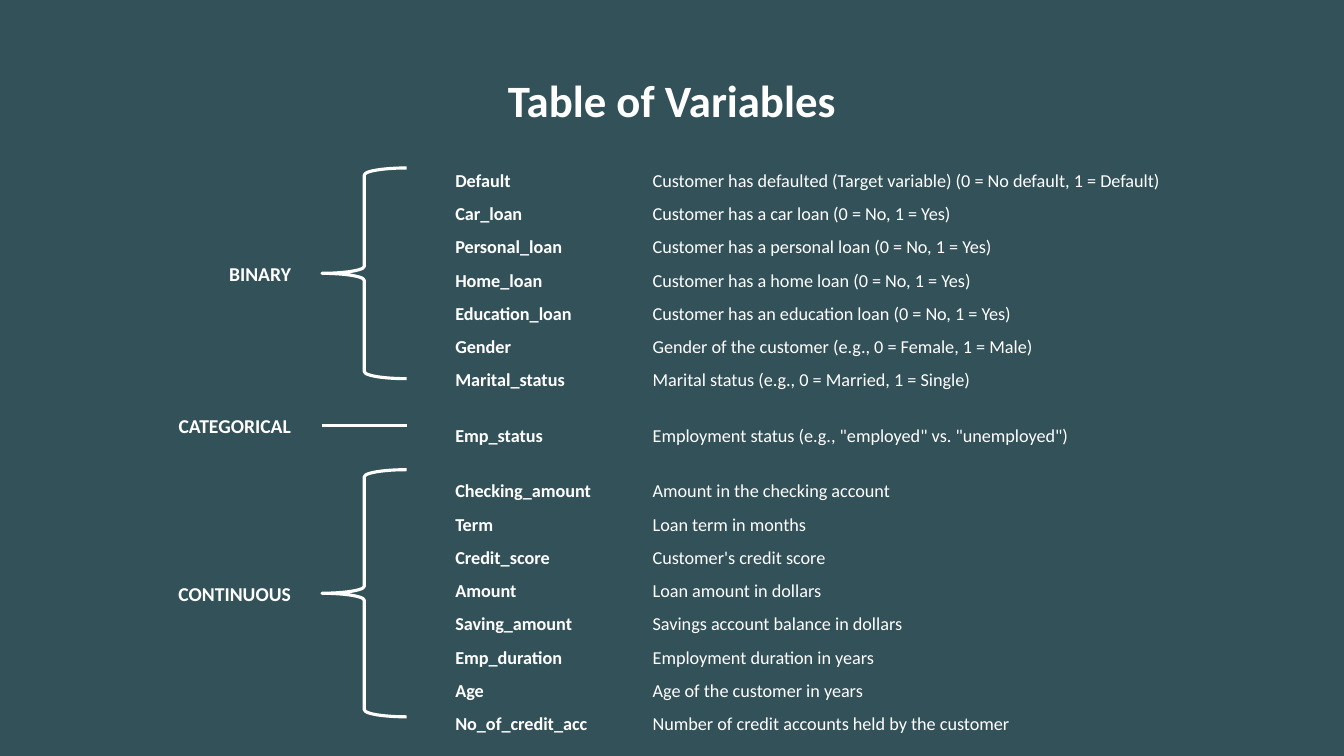
from pptx import Presentation
from pptx import util as u
from pptx.dml.color import RGBColor
from pptx.enum import shapes, text
from pptx.oxml.ns import qn
from lxml import etree

Pt = u.Pt
COLORS = {"background": "335159", "ink": "FFFFFF"}
FONT = "Calibri"
PLAIN_TABLE = "{2D5ABB26-0587-4C30-8999-92F81FD0307C}"
GROUP_GAP = 15.87

GROUPS = [
    ("BINARY", 120, 150.5, [
        ("Default", "Customer has defaulted (Target variable) (0 = No default, 1 = Default)"),
        ("Car_loan", "Customer has a car loan (0 = No, 1 = Yes)"),
        ("Personal_loan", "Customer has a personal loan (0 = No, 1 = Yes)"),
        ("Home_loan", "Customer has a home loan (0 = No, 1 = Yes)"),
        ("Education_loan", "Customer has an education loan (0 = No, 1 = Yes)"),
        ("Gender", "Gender of the customer (e.g., 0 = Female, 1 = Male)"),
        ("Marital_status", "Marital status (e.g., 0 = Married, 1 = Single)"),
    ]),
    ("CATEGORICAL", 304, 0, [
        ("Emp_status", 'Employment status (e.g., "employed" vs. "unemployed")'),
    ]),
    ("CONTINUOUS", 335.5, 176.5, [
        ("Checking_amount", "Amount in the checking account"),
        ("Term", "Loan term in months"),
        ("Credit_score", "Customer's credit score"),
        ("Amount", "Loan amount in dollars"),
        ("Saving_amount", "Savings account balance in dollars"),
        ("Emp_duration", "Employment duration in years"),
        ("Age", "Age of the customer in years"),
        ("No_of_credit_acc", "Number of credit accounts held by the customer"),
    ]),
]


def color(name):
    return RGBColor.from_string(COLORS[name])


def set_font(p, size, bold):
    p.font.name = FONT
    p.font.size = Pt(size)
    p.font.bold = bold
    p.font.color.rgb = color("ink")


def add_label(s, x, y, w, h, words, size, align):
    tf = s.shapes.add_textbox(Pt(x), Pt(y), Pt(w), Pt(h)).text_frame
    tf.word_wrap = True
    tf.vertical_anchor = text.MSO_ANCHOR.MIDDLE
    p = tf.paragraphs[0]
    p.text = words
    p.alignment = align
    set_font(p, size, True)


def add_group_mark(s, x, y, h, name):
    label_w, label_h, mark_x, mark_w = 142, 24.5, 157, 60.5
    add_label(s, x, y + h / 2 - label_h / 2, label_w, label_h, name, 14,
              text.PP_ALIGN.RIGHT)
    left, right = x + mark_x, x + mark_x + mark_w
    if h:
        sp = s.shapes.add_shape(shapes.MSO_SHAPE.LEFT_BRACE,
                                Pt(left), Pt(y), Pt(mark_w), Pt(h))
        sp.shadow.inherit = False
        sp.fill.background()
    else:
        sp = s.shapes.add_connector(shapes.MSO_CONNECTOR.STRAIGHT,
                                    Pt(left), Pt(y), Pt(right), Pt(y))
        etree.SubElement(sp._element.spPr, qn("a:effectLst"))
    sp.line.color.rgb = color("ink")
    sp.line.width = Pt(2.25)


def fill_column(cell, column):
    cell.fill.background()
    tf = cell.text_frame
    p = tf.paragraphs[0]
    for g, (_, _, _, variables) in enumerate(GROUPS):
        for i, variable in enumerate(variables):
            if g or i:
                p = tf.add_paragraph()
            p.text = variable[column]
            p.line_spacing = 1.5
            if g and not i:
                p.space_before = Pt(GROUP_GAP)
            set_font(p, 13, column == 0)


def add_variable_table(s, x, y, w, h):
    name_w = 141
    table = s.shapes.add_table(1, 2, Pt(x), Pt(y), Pt(w), Pt(h)).table
    table.first_row = False
    table.horz_banding = False
    table._tbl.tblPr.find(qn("a:tableStyleId")).text = PLAIN_TABLE
    for column, width in enumerate((name_w, w - name_w)):
        table.columns[column].width = Pt(width)
        fill_column(table.cell(0, column), column)


def main():
    prs = Presentation()
    prs.slide_width, prs.slide_height = Pt(960), Pt(540)
    s = prs.slides.add_slide(prs.slide_layouts[6])
    s.background.fill.solid()
    s.background.fill.fore_color.rgb = color("background")
    add_label(s, 66, 41, 828, 60.5, "Table of Variables", 32, text.PP_ALIGN.CENTER)
    add_variable_table(s, 318, 110, 605, 412.5)
    for name, y, h, _ in GROUPS:
        add_group_mark(s, 73, y, h, name)
    prs.save("out.pptx")


if __name__ == "__main__":
    main()
